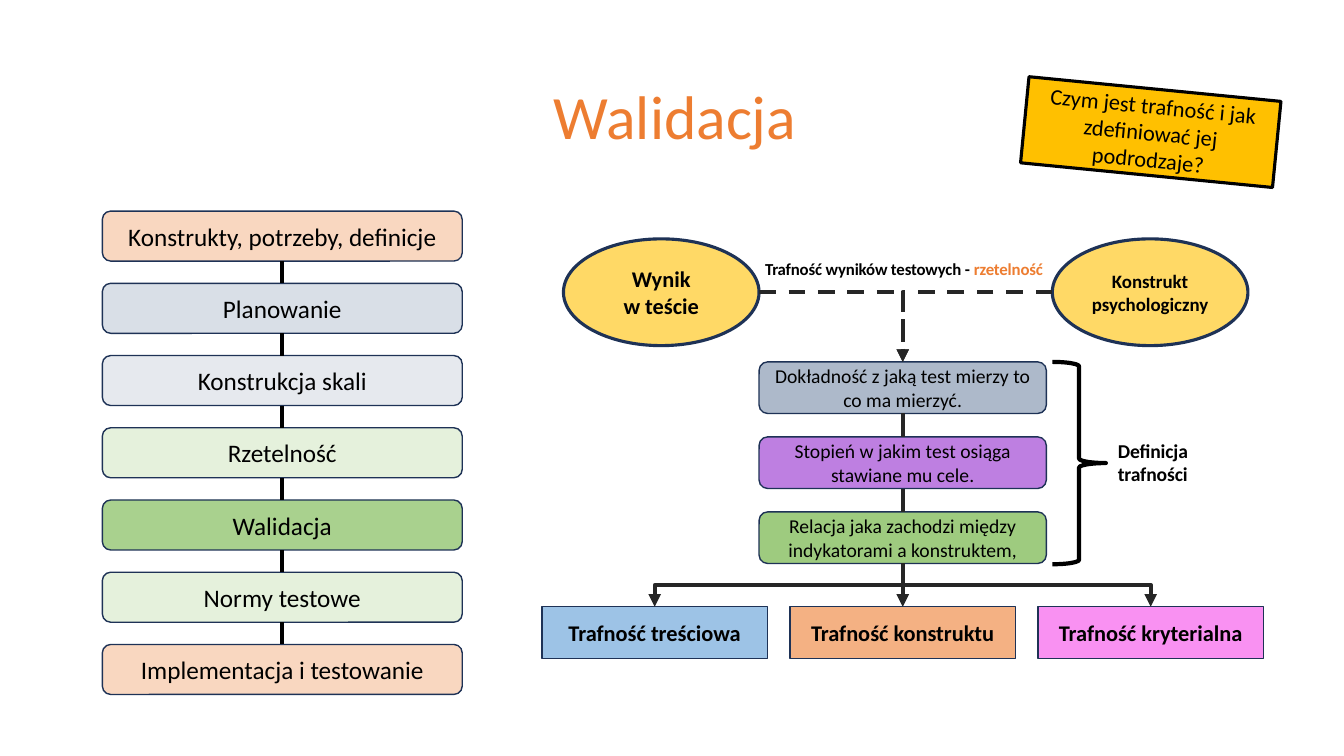
"""Builds the slide on test validation and the kinds of validity."""
from lxml.etree import SubElement
from pptx import Presentation
from pptx.dml.color import RGBColor
from pptx.enum.dml import MSO_LINE
from pptx.enum.shapes import MSO_CONNECTOR, MSO_SHAPE
from pptx.enum.text import MSO_ANCHOR, PP_ALIGN
from pptx.oxml.ns import qn
from pptx.util import Cm, Pt

COLORS = {
    "black": "000000", "dark": "262626", "navy": "1E3256", "orange": "ED7D31",
    "slate": "8497B0", "steel": "ADB9CA", "green": "A9D18E", "leaf": "9ECB7F",
    "yellow": "FFD966", "gold": "FFC000", "violet": "BE7FE1",
    "blue": "9DC3E6", "peach": "F4B183", "pink": "F991F2",
}
RGB = {name: RGBColor.from_string(value) for name, value in COLORS.items()}

prs = Presentation()
prs.slide_width, prs.slide_height = Cm(33.87), Cm(19.05)
s = prs.slides.add_slide(prs.slide_layouts[5])


def add_box(kind, x, y, w, h, fill, text, size, bold=False, line="navy", weight=1):
    sp = s.shapes.add_shape(kind, Cm(x), Cm(y), Cm(w), Cm(h))
    sp.shadow.inherit = False
    sp.fill.solid()
    sp.fill.fore_color.rgb = RGB[fill]
    sp.line.color.rgb = RGB[line]
    sp.line.width = Pt(weight)
    tf = sp.text_frame
    tf.word_wrap = True
    tf.vertical_anchor = MSO_ANCHOR.MIDDLE
    tf.text = text
    p = tf.paragraphs[0]
    p.alignment = PP_ALIGN.CENTER
    for r in p.runs:
        r.font.name, r.font.size, r.font.bold = "Calibri", Pt(size), bold
        r.font.color.rgb = RGB["black"]
    return sp


def add_line(kind, x1, y1, x2, y2, color="dark", dashed=False, arrow=False):
    c = s.shapes.add_connector(kind, Cm(x1), Cm(y1), Cm(x2), Cm(y2))
    c.line.color.rgb = RGB[color]
    c.line.width = Pt(3)
    if dashed:
        c.line.dash_style = MSO_LINE.DASH
    spPr = c._element.spPr
    if arrow:
        SubElement(spPr.find(qn("a:ln")), qn("a:tailEnd"), type="triangle")
    SubElement(spPr, qn("a:effectLst"))
    return c


title = s.shapes.title
title.left, title.top, title.width, title.height = Cm(2.41), Cm(1.17), Cm(29.21), Cm(3.68)
tf = title.text_frame
tf.text = "Walidacja"
tf.vertical_anchor = MSO_ANCHOR.MIDDLE
p = tf.paragraphs[0]
p.alignment = PP_ALIGN.CENTER
p.line_spacing = 0.9
r = p.runs[0]
r.font.name, r.font.size = "Calibri", Pt(44)
r.font.color.rgb = RGB["orange"]

steps = [
    ("Konstrukty, potrzeby, definicje", "orange"),
    ("Planowanie", "slate"),
    ("Konstrukcja skali", "steel"),
    ("Rzetelność", "green"),
    ("Walidacja", "green"),
    ("Normy testowe", "green"),
    ("Implementacja i testowanie", "orange"),
]
step_boxes = []
for i, (text, fill) in enumerate(steps):
    sp = add_box(MSO_SHAPE.ROUNDED_RECTANGLE, 2.58, 5.32 + 1.82 * i, 9.07, 1.26, fill, text, 18)
    if text != "Walidacja":
        color = sp._element.spPr.find(qn("a:solidFill"))[0]
        SubElement(color, qn("a:alpha"), val="30000")
    step_boxes.append(sp)

for x, text, size in [(14.2, "Wynik\vw teście", 16), (26.52, "Konstrukt psychologiczny", 13.5)]:
    add_box(MSO_SHAPE.OVAL, x, 6.02, 4.93, 2.69, "yellow", text, size, True, weight=2.25)

definitions = [
    ("Dokładność z jaką test mierzy to co ma mierzyć.", "steel"),
    ("Stopień w jakim test osiąga stawiane mu cele.", "violet"),
    ("Relacja jaka zachodzi między indykatorami a konstruktem,", "leaf"),
]
definition_boxes = [
    add_box(MSO_SHAPE.ROUNDED_RECTANGLE, 19.13, 9.12 + 1.89 * i, 7.24, 1.3, fill, text, 14)
    for i, (text, fill) in enumerate(definitions)
]

kinds = [("Trafność treściowa", "blue"), ("Trafność konstruktu", "peach"),
         ("Trafność kryterialna", "pink")]
kind_boxes = [
    add_box(MSO_SHAPE.RECTANGLE, 13.66 + 6.25 * i, 15.29, 5.68, 1.3, fill, text, 16, True)
    for i, (text, fill) in enumerate(kinds)
]

for boxes, color in [(step_boxes, "black"), (definition_boxes, "dark")]:
    for upper, lower in zip(boxes, boxes[1:]):
        c = add_line(MSO_CONNECTOR.STRAIGHT, 0, 0, 1, 1, color)
        c.begin_connect(upper, 2)
        c.end_connect(lower, 0)

elbows = [
    (19.13, 7.36, 3.62, 1.76, 0, None, "bentConnector2"),
    (22.75, 7.36, 3.77, 1.76, 180, "flipV", "bentConnector2"),
    (19.08, 11.62, 1.09, 6.25, 90, None, "bentConnector3"),
    (25.33, 11.62, 1.09, 6.25, 270, "flipH", "bentConnector3"),
]
for x, y, w, h, angle, flip, preset in elbows:
    c = add_line(MSO_CONNECTOR.ELBOW, x, y, x + w, y + h,
                 dashed=preset == "bentConnector2", arrow=True)
    spPr = c._element.spPr
    spPr.find(qn("a:prstGeom")).set("prst", preset)
    xfrm = spPr.find(qn("a:xfrm"))
    xfrm.set("rot", str(angle * 60000))
    if flip:
        xfrm.set(flip, "1")

c = add_line(MSO_CONNECTOR.STRAIGHT, 22.75, 14.75, 22.75, 15.29, arrow=True)
c.end_connect(kind_boxes[1], 0)

labels = [
    (19.28, 6.5, 13.18, 0.56, 12, [("Trafność wyników testowych - ", "black"), ("rzetelność", "orange")]),
    (28.17, 11.02, 3.63, 1.22, 14, [("Definicja\vtrafności", "black")]),
]
for x, y, w, h, size, parts in labels:
    tf = s.shapes.add_textbox(Cm(x), Cm(y), Cm(w), Cm(h)).text_frame
    tf.word_wrap = True
    tf.margin_left = tf.margin_right = tf.margin_bottom = 0
    tf.margin_top = Cm(0.03)
    p = tf.paragraphs[0]
    p.text = parts[0][0]
    for text, _ in parts[1:]:
        p.add_run().text = text
    for i, r in enumerate(p.runs):
        r.font.name, r.font.size, r.font.bold = "Calibri", Pt(size), True
        r.font.color.rgb = RGB[parts[min(i, len(parts) - 1)][1]]
        r.font._element.set("spc", "-10")

question = add_box(MSO_SHAPE.RECTANGLE, 25.81, 2.24, 6.38, 2.18, "gold",
                   "Czym jest trafność i jak zdefiniować jej podrodzaje?", 16,
                   line="black", weight=2.25)
question.rotation = 5.6

brace = s.shapes.add_shape(MSO_SHAPE.RIGHT_BRACE, Cm(26.52), Cm(9.12), Cm(1.35), Cm(5.1))
brace.shadow.inherit = False
brace.fill.background()
brace.line.color.rgb = RGB["black"]
brace.line.width = Pt(3)

prs.save("out.pptx")
